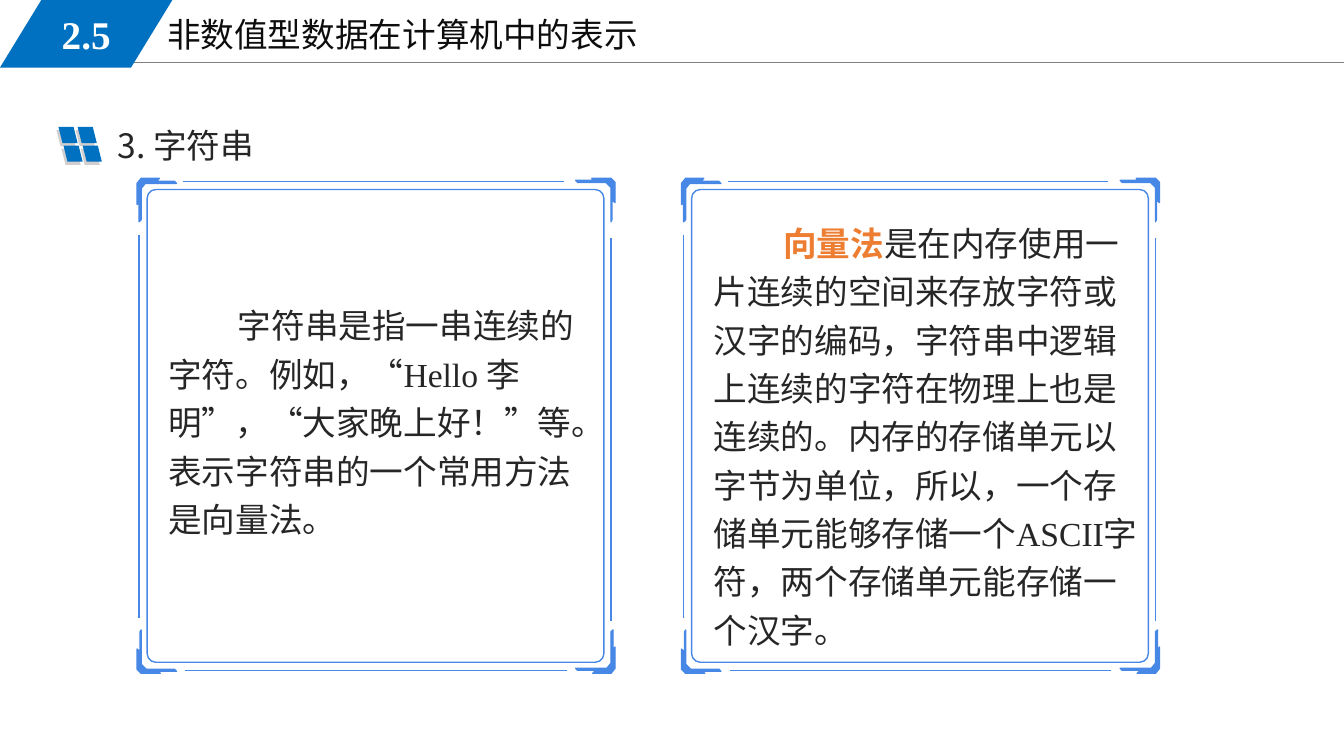
from dataclasses import dataclass

from lxml import etree
from pptx import Presentation
from pptx.dml.color import RGBColor
from pptx.enum.shapes import MSO_CONNECTOR, MSO_SHAPE
from pptx.enum.text import MSO_ANCHOR, MSO_AUTO_SIZE, PP_ALIGN
from pptx.oxml.ns import qn
from pptx.util import Emu, Inches, Pt

SLANT = MSO_SHAPE.PARALLELOGRAM
ROUND = MSO_SHAPE.ROUNDED_RECTANGLE
STRAIGHT = MSO_CONNECTOR.STRAIGHT
MIDDLE = MSO_ANCHOR.MIDDLE
GROW = MSO_AUTO_SIZE.SHAPE_TO_FIT_TEXT
CENTER = PP_ALIGN.CENTER

# The slide is a grid of fine square cells
COLS, ROWS = 1333, 750
CELL = Inches(0.01)


@dataclass(frozen=True)
class Theme:
    blue: str = "0070C0"
    frame: str = "4788E6"
    shade: str = "D0CECE"
    rule: str = "808080"
    title: str = "0D0D0D"
    ink: str = "262626"
    accent: str = "ED7D31"
    white: str = "FFFFFF"
    serif: str = "Times New Roman"
    sans: str = "Noto Sans CJK SC"
    size: int = 24
    big: int = 28
    thin: float = 0.75
    line: float = 1


class Page:
    def __init__(self, deck, theme):
        self.theme = theme
        self.shapes = deck.slides.add_slide(deck.slide_layouts[6]).shapes

    def paint(self, shape, fill=None, line=None):
        shape.shadow.inherit = False
        if fill:
            shape.fill.solid()
            shape.fill.fore_color.rgb = RGBColor.from_string(fill)
        else:
            shape.fill.background()
        if line:
            shape.line.color.rgb = RGBColor.from_string(line)
            shape.line.width = Pt(self.theme.line)
        else:
            shape.line.fill.background()

    def shape(self, kind, x, y, w, h, fill=None, line=None, adj=None, flip=False):
        item = self.shapes.add_shape(kind, *(Emu(v * CELL) for v in (x, y, w, h)))
        self.paint(item, fill, line)
        if adj is not None:
            item.adjustments[0] = adj
        if flip:
            item._element.spPr.find(qn("a:xfrm")).set("flipH", "1")
        return item

    def line(self, x1, y1, x2, y2, color, width):
        item = self.shapes.add_connector(
            STRAIGHT, *(Emu(v * CELL) for v in (x1, y1, x2, y2)))
        item.line.color.rgb = RGBColor.from_string(color)
        item.line.width = Pt(width)
        etree.SubElement(item._element.spPr, qn("a:effectLst"))

    def outline(self, points, color):
        pen = self.shapes.build_freeform(*points[0], scale=CELL)
        pen.add_line_segments(points[1:], close=True)
        self.paint(pen.convert_to_shape(), color, color)

    def fill_para(self, para, runs, size, face):
        """Runs are (text, colour, bold) triples."""
        font = para.font
        font.size, font.name = Pt(size), face
        if len(runs) == 1:
            font.color.rgb = RGBColor.from_string(runs[0][1])
            font.bold = runs[0][2]
        east = etree.SubElement(font._element, qn("a:ea"))
        east.set("typeface", self.theme.sans)
        for text, color, bold in runs:
            run = para.add_run()
            run.text = text
            if len(runs) > 1:
                run.font.color.rgb = RGBColor.from_string(color)
                run.font.bold = bold

    def text(self, x, y, w, h, runs, face, indent=0, space=None):
        box = self.shapes.add_textbox(*(Emu(v * CELL) for v in (x, y, w, h)))
        frame = box.text_frame
        frame.word_wrap = True
        frame.auto_size = GROW
        para = frame.paragraphs[0]
        if indent:
            props = para._p.get_or_add_pPr()
            props.set("marL", "0")
            props.set("indent", str(indent * CELL))
        if space:
            para.line_spacing = space
        self.fill_para(para, runs, self.theme.size, face)

    def badge(self, text, w, h):
        item = self.shape(SLANT, 0, 0, w, h, self.theme.blue, adj=0.612)
        frame = item.text_frame
        frame.vertical_anchor = MIDDLE
        para = frame.paragraphs[0]
        para.alignment = CENTER
        self.fill_para(para, [(text, self.theme.white, True)],
                       self.theme.big, self.theme.serif)

    def panel(self, x, y, w, h):
        """Rounded box with four corner brackets and four edge lines."""
        color = self.theme.frame
        self.shape(ROUND, x + 10, y + 11, 453, 469, line=color, adj=0.019)
        for right in (False, True):
            for low in (False, True):
                turn = right != low
                points = []
                for a, b in BRACKET:
                    if turn:
                        a, b = b * 0.9, a * 1.1
                    points.append((x + w - a if right else x + a,
                                   y + h - b if low else y + b))
                self.outline(points, color)
        for x1, y1, x2, y2 in (
                (46, 3, 423, 3), (48, h - 3, 426, h - 3),
                (2, 56, 2, 436), (w - 4, 59, w - 4, 439)):
            self.line(x + x1, y + y1, x + x2, y + y2, color, self.theme.line)

    def tiles(self, x, y):
        """Two by two slanted tiles, with their shade behind."""
        for dx, dy, fill in ((-2, 3, self.theme.shade), (0, 0, self.theme.blue)):
            for row in range(2):
                for col in range(2):
                    self.shape(SLANT, x + dx + 19 * col + 5 * row,
                               y + dy + 18.5 * row, 19, 16, fill, flip=True)


# Corner bracket, as distances inward from the corner
BRACKET = ((4, 0), (22, 0), (19, 3), (37, 3), (39, 5), (8, 5),
           (4, 10), (4, 41), (2, 43), (2, 23), (0, 26), (0, 5))


def main():
    deck = Presentation()
    deck.slide_width, deck.slide_height = COLS * CELL, ROWS * CELL
    theme = Theme()
    page = Page(deck, theme)

    # Header
    page.line(113, 62, COLS, 62, theme.rule, theme.thin)
    page.text(156, 9, 567, 51,
              [("非数值型数据在计算机中的表示", theme.title, False)], theme.serif)
    page.badge("2.5", 171, 67)

    # Framed panels
    for x in (136, 676):
        page.panel(x, 177, 474, 491)

    # Section heading
    page.tiles(58, 126)
    page.text(107, 119, 512, 50, [("3. 字符串", theme.ink, False)], theme.sans)

    # Panel text
    page.text(157, 290, 432, 248, [
        ("字符串是指一串连续的字符。例如，“Hello 李明”，“大家晚上好！”等。"
         "表示字符串的一个常用方法是向量法。", theme.ink, False),
    ], theme.serif, indent=69, space=1.2)
    page.text(698, 208, 451, 491, [
        ("向量法", theme.accent, True),
        ("是在内存使用一片连续的空间来存放字符或汉字的编码，"
         "字符串中逻辑上连续的字符在物理上也是连续的。"
         "内存的存储单元以字节为单位，所以，一个存储单元能够存储一个ASCII字符，"
         "两个存储单元能存储一个汉字。", theme.ink, False),
    ], theme.serif, indent=69, space=1.2)

    deck.save("out.pptx")


if __name__ == "__main__":
    main()
